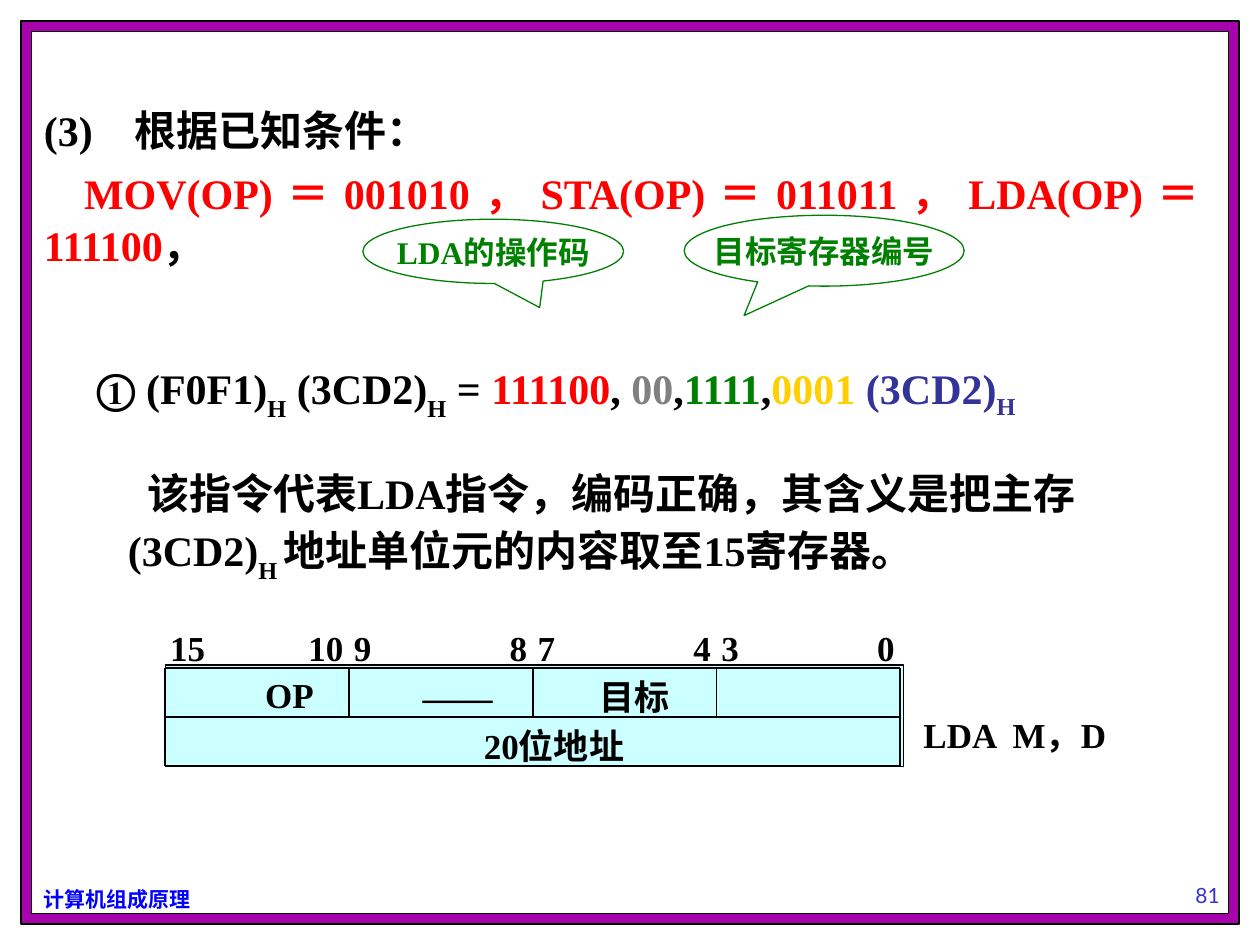
"""Build the slide that decodes the LDA instruction word."""
from lxml.etree import SubElement
from pptx import Presentation
from pptx.dml.color import RGBColor
from pptx.enum.shapes import MSO_CONNECTOR as Connector, MSO_SHAPE as Shape
from pptx.enum.text import MSO_ANCHOR as Anchor, PP_ALIGN as Align
from pptx.oxml.ns import qn
from pptx.util import Pt

COLORS = {
    "black": "000000", "white": "FFFFFF", "purple": "A603AB", "red": "FF0000",
    "gray": "808080", "green": "008000", "gold": "FFCF01", "indigo": "333399",
    "blue": "0000FF", "number": "3333CC", "cyan": "CCFFFF",
}
SERIF, SANS, LATO = "Times New Roman", "Noto Sans CJK SC", "Lato"
LINE_RATIO = 1.24

FRAMES = [((12, 12, 696, 516), "purple"), ((18, 18, 684, 504), "white")]
BODY = [
    {"runs": [("(3)\t根据已知条件：", "black", 0)], "tabs": [(52, "l")]},
    {"runs": [("MOV(OP)＝001010，STA(OP)＝011011，LDA(OP)＝111100", "red", 0),
              ("，", "black", 0)], "indent": 23, "before": 6},
    {"runs": [("① (F0F1)", "black", 0), ("H", "black", -30),
              (" (3CD2)", "black", 0), ("H", "black", -30), (" = ", "black", 0),
              ("111100", "red", 0), (", ", "black", 0), ("00", "gray", 0),
              (",", "black", 0), ("1111", "green", 0), (",", "black", 0),
              ("0001 ", "gold", 0), ("(3CD2)", "indigo", 0), ("H", "indigo", -25)],
     "indent": 30, "before": 57.5},
    {"runs": [("该指令代表LDA指令，编码正确，其含义是把主存", "black", 0)],
     "indent": 59, "before": 24.5},
    {"runs": [("(3CD2)", "black", 0), ("H ", "black", -30),
              ("地址单位元的内容取至15寄存器。", "black", 0)],
     "indent": 48, "before": 8.5},
]
CALLOUTS = [
    ("目标寄存器编号", (391, 123, 160, 40.5), (-0.286, 0.915)),
    ("LDA的操作码", (207.4, 125.3, 149, 36.7), (0.178, 0.875)),
]
FIELDS = [("OP", 50), ("――", 35), ("目标", 31), ("", 0)]
BITS = [("15", "10"), ("9", "8"), ("7", "4"), ("3", "0")]
ADDRESS = ("20位地址", 175)
GRID_LEFT, GRID_TOP, FIELD_WIDTH, ROW_HEIGHT = 94.4, 381.6, 105, 28
BITS_LEFT, INSET = 75, 7.2


def color(name):
    return RGBColor.from_string(COLORS[name])


def style(para, size, ink, font=SERIF, bold=True, tabs=(), indent=0):
    properties = para._p.get_or_add_pPr()
    if indent:
        properties.set("indent", str(Pt(indent)))
    if tabs:
        tab_list = SubElement(properties, qn("a:tabLst"))
        for position, side in tabs:
            SubElement(tab_list, qn("a:tab"), pos=str(Pt(position)), algn=side)
    para.font.size, para.font.bold, para.font.name = Pt(size), bold, font
    para.font.color.rgb = color(ink)
    SubElement(properties.find(qn("a:defRPr")), qn("a:ea"), typeface=SANS)


def add_box(slide, place):
    box = slide.shapes.add_textbox(*map(Pt, place))
    box.text_frame.word_wrap = True
    return box.text_frame


def add_text(slide, text, place, size, ink, **options):
    frame = add_box(slide, place)
    para = frame.paragraphs[0]
    para.text = text
    if not text.isascii():
        para.line_spacing = Pt(size * LINE_RATIO)
    style(para, size, ink, **options)
    return frame


def add_shape(slide, kind, place, fill, line):
    shape = slide.shapes.add_shape(kind, *map(Pt, place))
    shape.shadow.inherit = False
    if fill:
        shape.fill.solid()
        shape.fill.fore_color.rgb = color(fill)
    else:
        shape.fill.background()
    shape.line.color.rgb = color(line)
    shape.line.width = Pt(0.75)
    return shape


def add_line(slide, *ends):
    line = slide.shapes.add_connector(Connector.STRAIGHT, *map(Pt, ends))
    line.line.color.rgb = color("black")
    line.line.width = Pt(1)
    SubElement(line._element.spPr, qn("a:effectLst"))


def add_body(slide):
    frame = add_box(slide, (18, 55.3, 674.6, 281.5))
    for index, item in enumerate(BODY):
        para = frame.add_paragraph() if index else frame.paragraphs[0]
        para.alignment = Align.JUSTIFY
        para.line_spacing = Pt(24 * LINE_RATIO)
        if index:
            para.space_before = Pt(item["before"])
        style(para, 24, "black", tabs=item.get("tabs", ()), indent=item.get("indent", 0))
        for text, ink, baseline in item["runs"]:
            span = para.add_run()
            span.text = text
            span.font.color.rgb = color(ink)
            if baseline:
                span._r.get_or_add_rPr().set("baseline", str(baseline * 1000))


def add_callout(slide, text, place, tip):
    callout = add_shape(slide, Shape.OVAL_CALLOUT, place, None, "green")
    callout.adjustments[0], callout.adjustments[1] = tip
    frame = callout.text_frame
    frame.word_wrap = False
    frame.vertical_anchor = Anchor.MIDDLE
    para = frame.paragraphs[0]
    para.text = text
    para.alignment = Align.CENTER
    para.line_spacing = Pt(18 * LINE_RATIO)
    style(para, 18, "green")


def add_instruction_format(slide):
    width = FIELD_WIDTH * len(FIELDS)
    right, middle = GRID_LEFT + width, GRID_TOP + ROW_HEIGHT
    bottom = middle + ROW_HEIGHT
    add_shape(slide, Shape.RECTANGLE, (GRID_LEFT, 380, 422, 58), "cyan", "black")
    text, indent = ADDRESS
    add_text(slide, text, (GRID_LEFT, middle, width, ROW_HEIGHT), 20, "black", indent=indent)
    for column, (text, indent) in enumerate(FIELDS):
        if text:
            left = GRID_LEFT + column * FIELD_WIDTH
            add_text(slide, text, (left, GRID_TOP, FIELD_WIDTH, ROW_HEIGHT),
                     20, "black", indent=indent)
    for y in (GRID_TOP, middle, bottom):
        add_line(slide, GRID_LEFT, y, right, y)
    for column in range(len(FIELDS) + 1):
        x = GRID_LEFT + column * FIELD_WIDTH
        end = bottom if column in (0, len(FIELDS)) else middle
        add_line(slide, x, GRID_TOP, x, end)

    tabs = []
    for column in range(len(BITS)):
        start = GRID_LEFT - BITS_LEFT - INSET + column * FIELD_WIDTH
        tabs += [(start + 3, "l"), (start + FIELD_WIDTH - 3, "r")]
    labels = "".join(f"\t{high}\t{low}" for high, low in BITS)
    add_text(slide, labels, (BITS_LEFT, 354.2, 455.8, 31.5), 20, "black", tabs=tabs)
    add_text(slide, "LDA\tM，D", (520.6, 403.2, 152.6, 31.5), 20, "black", tabs=[(51, "l")])


def main():
    deck = Presentation()
    deck.slide_width, deck.slide_height = Pt(720), Pt(540)
    slide = deck.slides.add_slide(deck.slide_layouts[6])
    for place, fill in FRAMES:
        add_shape(slide, Shape.RECTANGLE, place, fill, "black")
    add_text(slide, "计算机组成原理", (18, 502.5, 110, 21.6), 12, "blue", font=SANS)
    number = add_text(slide, "81", (624.2, 486, 131.8, 36), 12, "number", font=LATO, bold=False)
    number.vertical_anchor = Anchor.BOTTOM
    number.paragraphs[0].alignment = Align.CENTER
    add_body(slide)
    for callout in CALLOUTS:
        add_callout(slide, *callout)
    add_instruction_format(slide)
    deck.save("out.pptx")


if __name__ == "__main__":
    main()
